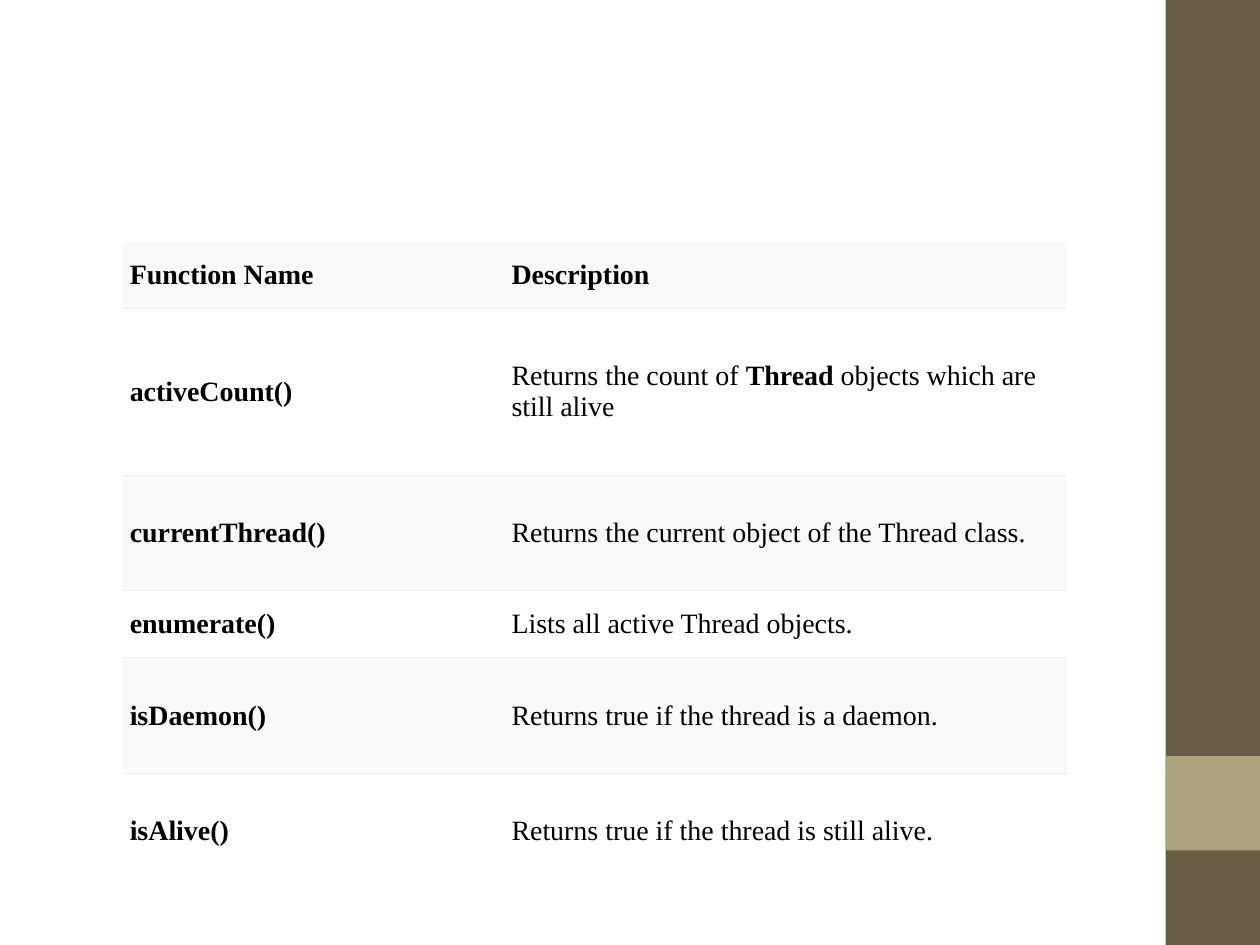
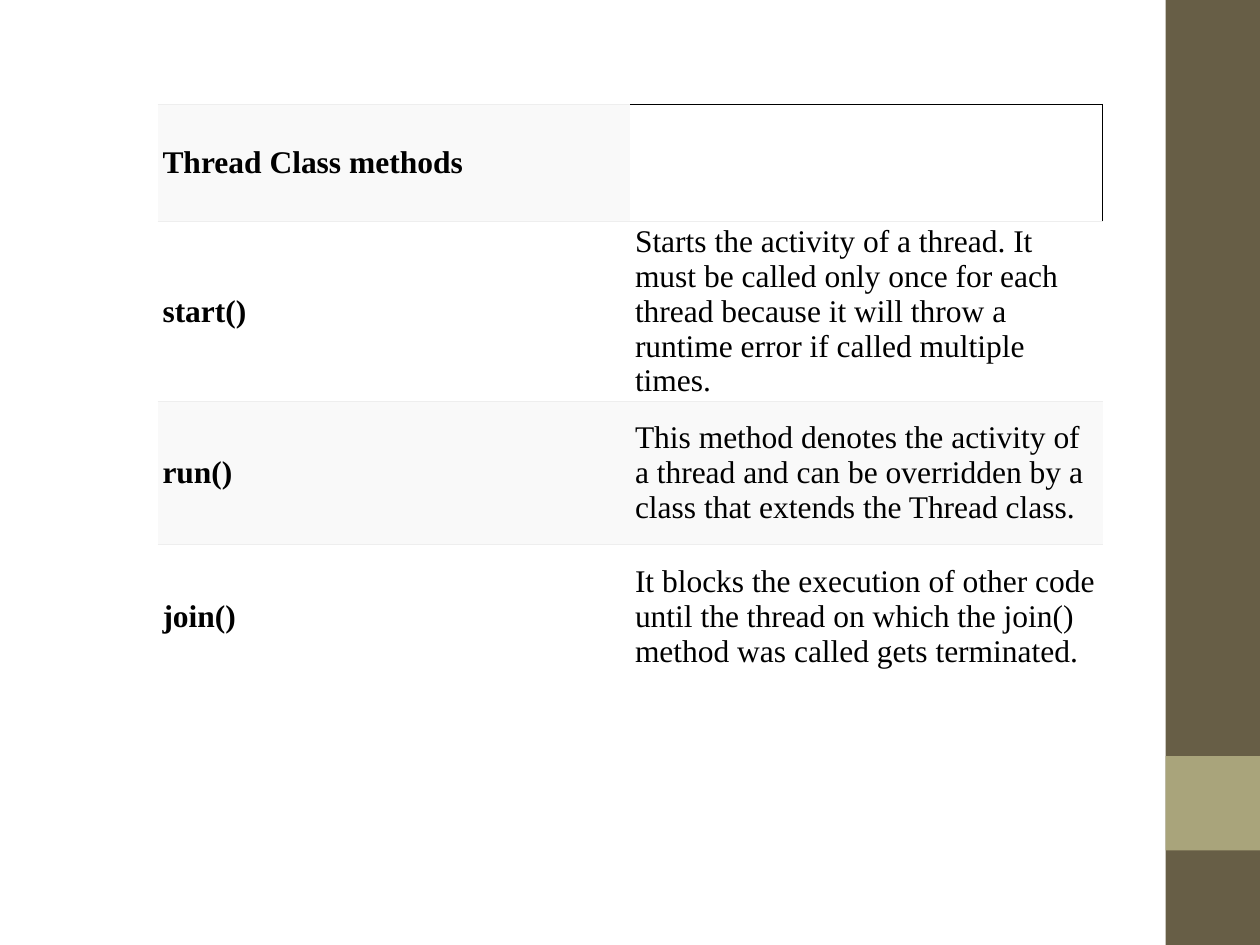
from lxml import etree
from pptx import Presentation
from pptx import util as u
from pptx.dml.color import RGBColor
from pptx.enum import shapes, text
from pptx.oxml import ns

FONT = "Times New Roman"
INK, GRID, STRIPE, PAPER = "000000", "EEEEEE", "F9F9F9", "FFFFFF"
BANDS = [("675E46", 0, 7.5), ("A9A47B", 6, 0.75)]
BAND_LEFT, BAND_WIDTH = 9.25, 0.75

FUNCTIONS = {
    "origin": (0.98, 1.92),
    "columns": [3.03, 4.46],
    "heights": [0.53, 1.32, 0.92, 0.53, 0.92, 0.92],
    "size": 16,
    "inset": 0.05,
    "borders": {},
    "rows": [
        ("Function Name", ["Description"]),
        ("activeCount()", ["Returns the count of ", "Thread", " objects which are still alive"]),
        ("currentThread()", ["Returns the current object of the Thread class."]),
        ("enumerate()", ["Lists all active Thread objects."]),
        ("isDaemon()", ["Returns true if the thread is a daemon."]),
        ("isAlive()", ["Returns true if the thread is still alive."]),
    ],
}
METHODS = {
    "origin": (1.25, 0.83),
    "columns": [3.75, 3.75],
    "heights": [0.93, 1.4, 1.14, 1.14],
    "size": 18,
    "inset": 0.04,
    "borders": {(0, 0): {"T": (GRID, 0.6)}, (0, 1): {"T": (INK, 1), "R": (INK, 1)}},
    "rows": [
        ("Thread Class methods", []),
        ("start()", ["Starts the activity of a thread. It must be called only once for each thread "
                     "because it will throw a runtime error if called multiple times."]),
        ("run()", ["This method denotes the activity of a thread and can be overridden by a class "
                   "that extends the Thread class."]),
        ("join()", ["It blocks the execution of other code until the thread on which the join() "
                    "method was called gets terminated."]),
    ],
}


def paint(fill, colour):
    fill.solid()
    fill.fore_color.rgb = RGBColor.from_string(colour)


def draw_bands(slide):
    for colour, top, height in BANDS:
        band = slide.shapes.add_shape(
            shapes.MSO_SHAPE.RECTANGLE, u.Inches(BAND_LEFT), u.Inches(top),
            u.Inches(BAND_WIDTH), u.Inches(height))
        band.shadow.inherit = False
        band.line.fill.background()
        paint(band.fill, colour)


def set_borders(cell, borders):
    properties = cell._tc.get_or_add_tcPr()
    for place, side in enumerate("LRTB"):
        colour, width = borders.get(side, (None, 0))
        line = etree.Element(ns.qn(f"a:ln{side}"), w=str(u.Pt(width)))
        if colour:
            solid = etree.SubElement(line, ns.qn("a:solidFill"))
            etree.SubElement(solid, ns.qn("a:srgbClr"), val=colour)
        else:
            etree.SubElement(line, ns.qn("a:noFill"))
        properties.insert(place, line)


def write_cell(cell, segments, bold, content):
    cell.vertical_anchor = text.MSO_ANCHOR.MIDDLE
    cell.margin_left = cell.margin_right = u.Inches(content["inset"])
    cell.margin_top = cell.margin_bottom = u.Inches(0.02)
    paragraph = cell.text_frame.paragraphs[0]
    for place, segment in enumerate(segments):
        run = paragraph.add_run()
        run.text = segment
        run.font.name = FONT
        run.font.size = u.Pt(content["size"])
        run.font.bold = bold or place % 2 == 1
        paint(run.font.fill, INK)


def draw_table(slide, content):
    rows, columns, heights = content["rows"], content["columns"], content["heights"]
    left, top = content["origin"]
    table = slide.shapes.add_table(
        len(rows), len(columns), u.Inches(left), u.Inches(top),
        u.Inches(sum(columns)), u.Inches(sum(heights))).table
    table.horz_banding = table.first_row = False
    for column, width in zip(table.columns, columns):
        column.width = u.Inches(width)
    for r, (name, description) in enumerate(rows):
        table.rows[r].height = u.Inches(heights[r])
        for c, segments in enumerate(([name], description)):
            cell = table.cell(r, c)
            write_cell(cell, segments, r == 0 or c == 0, content)
            if segments:
                paint(cell.fill, PAPER if r % 2 else STRIPE)
            else:
                cell.fill.background()
            borders = dict(content["borders"].get((r, c), {}))
            if r > 0:
                borders["T"] = (GRID, 0.6)
            if r < len(rows) - 1:
                borders["B"] = (GRID, 0.6)
            set_borders(cell, borders)


def main():
    deck = Presentation()
    deck.slide_width, deck.slide_height = u.Inches(10), u.Inches(7.5)
    for content in (FUNCTIONS, METHODS):
        slide = deck.slides.add_slide(deck.slide_layouts[6])
        draw_bands(slide)
        draw_table(slide, content)
    deck.save("out.pptx")


if __name__ == "__main__":
    main()
